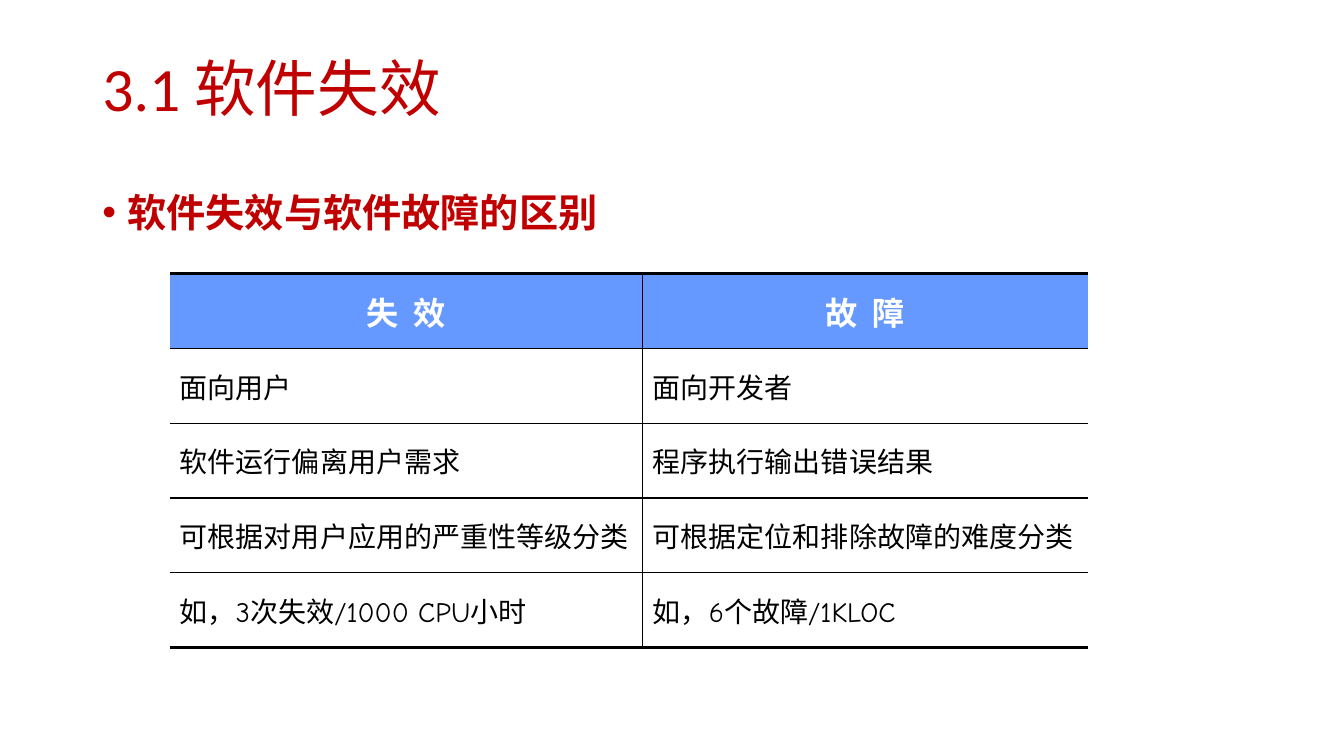
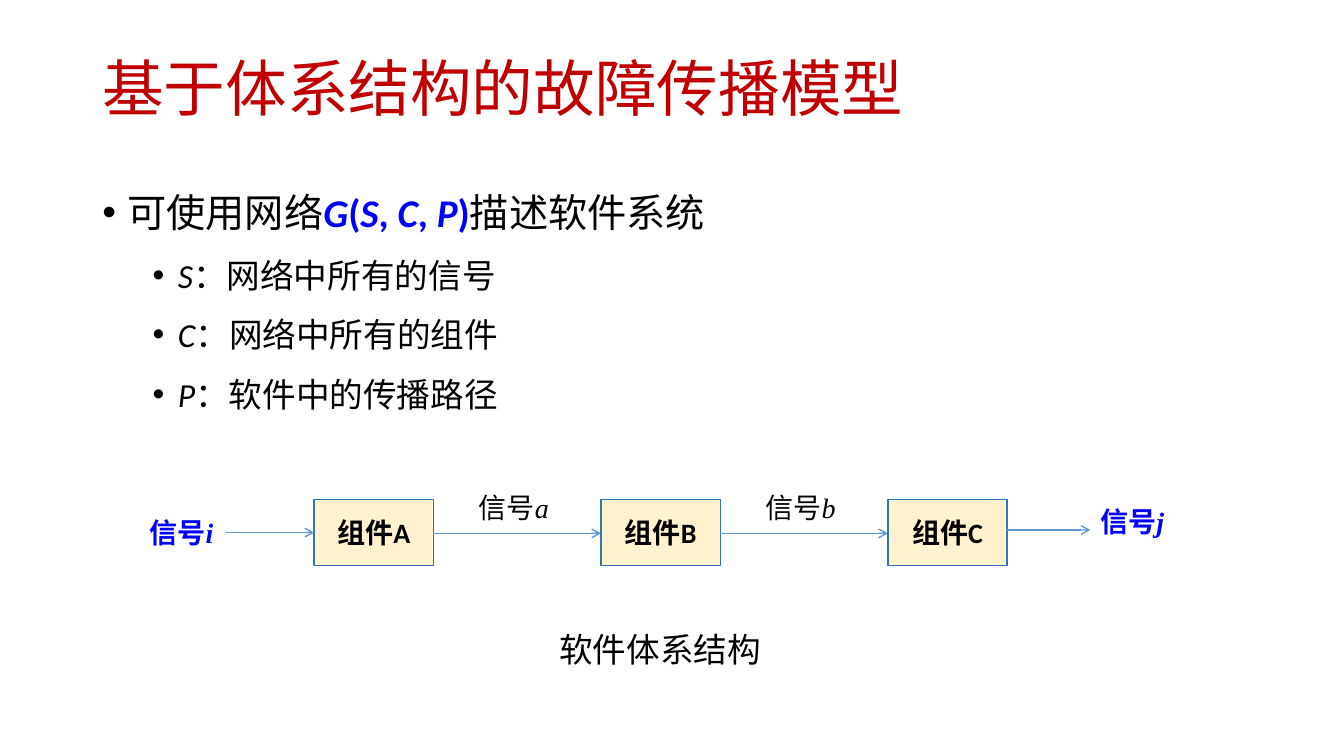
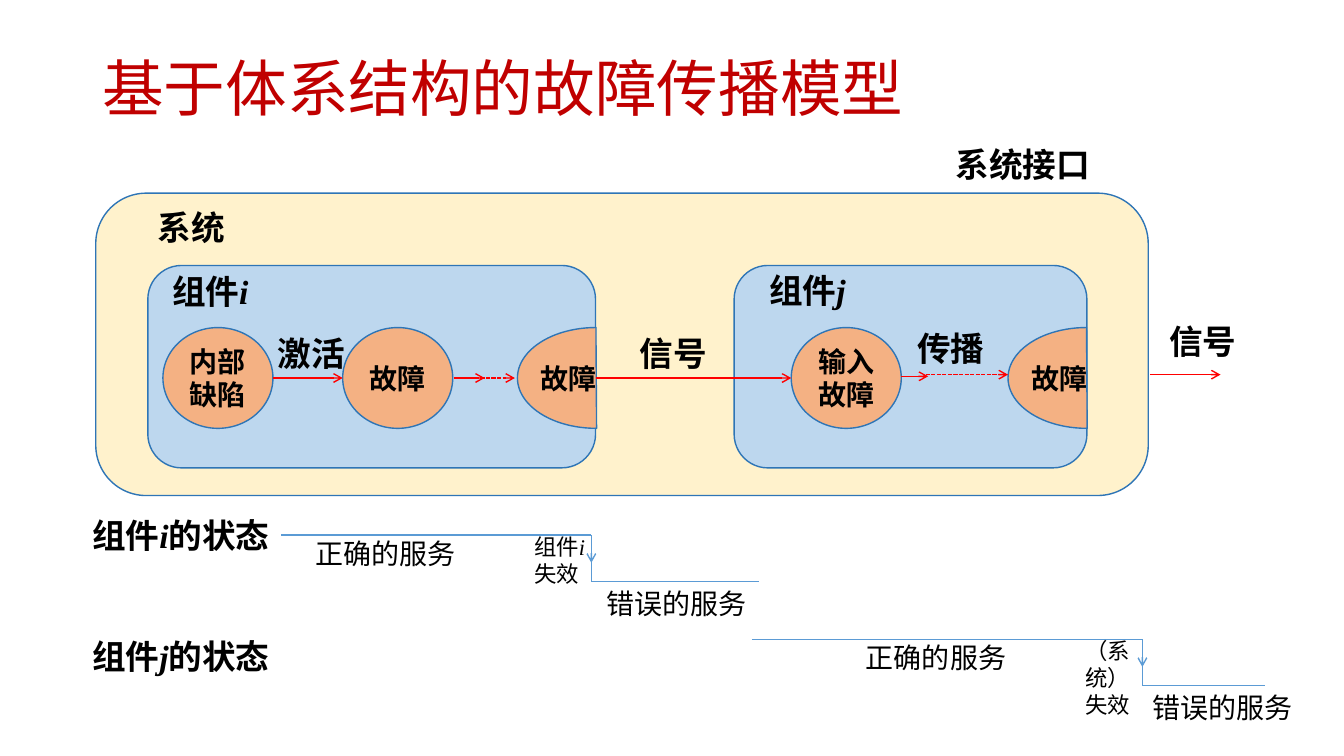
from dataclasses import dataclass, replace

from lxml import etree
from pptx import Presentation
from pptx import util as u
from pptx.dml.color import RGBColor
from pptx.enum import dml, shapes, text
from pptx.oxml.ns import qn

# The slide is a grid of 160 columns by 90 rows; every length is in grid cells.
COLS, ROWS = 160, 90
W, H = u.Inches(13.33), u.Inches(7.5)

COLORS = {
    "title": "C00000", "ink": "000000", "white": "FFFFFF", "accent": "0000FF",
    "header": "6699FF", "cream": "FFF2CC", "sky": "BDD7EE", "peach": "F4B183",
    "outline": "2E75B6", "flow": "5B9BD5", "fault": "FF0000",
}
SANS, SERIF, COMIC = "Calibri", "Times New Roman", "Comic Neue"
CENTER = text.PP_ALIGN.CENTER
MIDDLE = text.MSO_ANCHOR.MIDDLE
PRESET = shapes.MSO_SHAPE


@dataclass(frozen=True)
class Style:
    size: float
    font: str = SERIF
    color: str = "ink"
    bold: bool = False
    align: text.PP_ALIGN | None = None


@dataclass(frozen=True)
class Label:
    words: str
    x: float
    y: float
    w: float
    style: Style
    h: float = 6


@dataclass(frozen=True)
class Block:
    preset: shapes.MSO_SHAPE
    x: float
    y: float
    w: float
    h: float
    fill: str
    words: str = ""


@dataclass(frozen=True)
class Link:
    x1: float
    y1: float
    x2: float
    y2: float
    color: str = "flow"
    arrow: bool = True
    dashed: bool = False


@dataclass(frozen=True)
class Bullet:
    words: str
    size: float = 28
    color: str = "ink"
    bold: bool = False
    indent: float = 0.25
    before: float = 0


@dataclass(frozen=True)
class StateStep:
    """A service level that drops from correct to wrong."""
    start: float
    drop: float
    end: float
    y: float
    good_x: float
    fail: str
    fail_x: float
    wrong_x: float
    fail_align: text.PP_ALIGN | None = None


TITLE = Style(44, SANS, "title")
NODE = Style(20, SERIF, bold=True, align=CENTER)
HEADING = Style(24, bold=True)
NOTE = Style(20)
SIGNAL = Style(20, SERIF, "accent", True)


def gx(cols: float) -> int:
    return round(W * cols / COLS)


def gy(rows: float) -> int:
    return round(H * rows / ROWS)


def rgb(name: str) -> RGBColor:
    return RGBColor.from_string(COLORS[name])


def set_font(p, style: Style) -> None:
    f = p.font
    f.size, f.name, f.bold = u.Pt(style.size), style.font, style.bold
    f.color.rgb = rgb(style.color)
    if style.align is not None:
        p.alignment = style.align


def add_runs(p, words: str) -> None:
    """Underscores enclose italics, bars enclose blue bold text."""
    for i, part in enumerate(words.split("|")):
        for j, piece in enumerate(part.split("_")):
            if not piece:
                continue
            r = p.add_run()
            r.text = piece
            if j % 2:
                r.font.italic = True
            if i % 2:
                r.font.bold = True
                r.font.color.rgb = rgb("accent")


def fill_text(tf, words: str, style: Style) -> None:
    tf.word_wrap = True
    for i, line in enumerate(words.split("\n")):
        p = tf.add_paragraph() if i else tf.paragraphs[0]
        set_font(p, style)
        add_runs(p, line)


def add_label(s, label: Label):
    sp = s.shapes.add_textbox(gx(label.x), gy(label.y), gx(label.w), gy(label.h))
    fill_text(sp.text_frame, label.words, label.style)
    return sp


def add_block(s, block: Block, style: Style = NODE):
    sp = s.shapes.add_shape(block.preset, gx(block.x), gy(block.y),
                            gx(block.w), gy(block.h))
    sp.shadow.inherit = False
    sp.fill.solid()
    sp.fill.fore_color.rgb = rgb(block.fill)
    sp.line.color.rgb = rgb("outline")
    sp.line.width = u.Pt(1)
    if block.words:
        sp.text_frame.vertical_anchor = MIDDLE
        fill_text(sp.text_frame, block.words, style)
    return sp


def add_link(s, link: Link) -> None:
    c = s.shapes.add_connector(shapes.MSO_CONNECTOR.STRAIGHT, gx(link.x1),
                               gy(link.y1), gx(link.x2), gy(link.y2))
    c.line.color.rgb = rgb(link.color)
    c.line.width = u.Pt(1)
    if link.dashed:
        c.line.dash_style = dml.MSO_LINE.SQUARE_DOT
    props = c._element.spPr
    if link.arrow:
        etree.SubElement(props.find(qn("a:ln")), qn("a:tailEnd"), type="arrow")
    etree.SubElement(props, qn("a:effectLst"))


def add_bullets(s, bullets: list[Bullet], rows: float) -> None:
    tf = s.shapes.add_textbox(gx(11), gy(20.2), gx(138), gy(rows)).text_frame
    tf.word_wrap = True
    for i, b in enumerate(bullets):
        p = tf.add_paragraph() if i else tf.paragraphs[0]
        p.line_spacing = 1.3
        if i:
            p.space_before = u.Pt(b.before)
        props = p._p.get_or_add_pPr()
        props.set("marL", str(u.Inches(b.indent)))
        props.set("indent", str(-u.Inches(0.25)))
        etree.SubElement(props, qn("a:buFont"), typeface="Arial")
        etree.SubElement(props, qn("a:buChar"), char="•")
        set_font(p, Style(b.size, SANS, b.color, b.bold))
        add_runs(p, b.words)


def new_slide(prs, title: str, style: Style = TITLE):
    s = prs.slides.add_slide(prs.slide_layouts[6])
    tf = add_label(s, Label(title, 11, 4.8, 138, style, 12.2)).text_frame
    tf.vertical_anchor = MIDDLE
    tf.paragraphs[0].line_spacing = 0.9
    return s


def set_borders(cell, widths: dict[str, float]) -> None:
    """Widths in points by side; zero hides the side."""
    props = cell._tc.get_or_add_tcPr()
    for side in "LRTB":
        width = widths[side]
        ln = etree.SubElement(props, qn(f"a:ln{side}"), w=str(u.Pt(width)))
        if width:
            paint = etree.SubElement(ln, qn("a:solidFill"))
            etree.SubElement(paint, qn("a:srgbClr"), val=COLORS["ink"])
        else:
            etree.SubElement(ln, qn("a:noFill"))


def add_comparison(s, rows: list[tuple[str, str]]) -> None:
    widths, row_h = (56.3, 53), 8.9
    last_row, last_col = len(rows) - 1, len(widths) - 1
    table = s.shapes.add_table(len(rows), len(widths), gx(20.2), gy(32.6),
                               gx(sum(widths)), gy(row_h * len(rows))).table
    table.first_row = table.horz_banding = False
    for col, width in zip(table.columns, widths):
        col.width = gx(width)
    for i, row in enumerate(rows):
        table.rows[i].height = gy(row_h)
        for j, words in enumerate(row):
            cell = table.cell(i, j)
            cell.vertical_anchor = MIDDLE
            set_borders(cell, {"L": int(j > 0), "R": int(j < last_col),
                               "T": 1 if i else 2.25,
                               "B": 1 if i < last_row else 2.25})
            if i:
                cell.fill.background()
                style = Style(20, COMIC)
            else:
                cell.fill.solid()
                cell.fill.fore_color.rgb = rgb("header")
                style = Style(23, COMIC, "white", True, CENTER)
            fill_text(cell.text_frame, words, style)


def failure_slide(prs) -> None:
    s = new_slide(prs, "3.1 软件失效")
    add_bullets(s, [Bullet("软件失效与软件故障的区别", color="title", bold=True)], 60.8)
    add_comparison(s, [
        ("失  效", "故  障"),
        ("面向用户", "面向开发者"),
        ("软件运行偏离用户需求", "程序执行输出错误结果"),
        ("可根据对用户应用的严重性等级分类", "可根据定位和排除故障的难度分类"),
        ("如，3次失效/1000 CPU小时", "如，6个故障/1KLOC"),
    ])


def network_slide(prs) -> None:
    s = new_slide(prs, "基于体系结构的故障传播模型")
    parts = [("S", "信号"), ("C", "组件")]
    meanings = [(k, f"网络中所有的{v}") for k, v in parts] + [("P", "软件中的传播路径")]
    add_bullets(s, [Bullet("可使用网络|_G_(_S_, _C_, _P_)|描述软件系统")] + [
        Bullet(f"_{k}_：{v}", 24, indent=0.75, before=5) for k, v in meanings
    ], 32.4)

    # Chain of components at an equal pitch
    left, pitch, width, mid = 37.4, 34.15, 14.2, 63.5
    for i, name in enumerate("ABC"):
        x = left + i * pitch
        add_block(s, Block(PRESET.RECTANGLE, x, 59.5, width, 7.8, "cream",
                           f"组件{name}"), replace(NODE, font=SANS))
        if i < 2:
            add_link(s, Link(x + width, mid, x + pitch, mid))
            add_label(s, Label(f"信号_{'ab'[i]}_", x + 18.4, 57.8, 11.6, NOTE, 5.3))

    # Signals entering and leaving the chain
    add_link(s, Link(26.9, 63.4, left, 63.4))
    add_link(s, Link(119.9, 63.1, 129.8, 63.1))
    add_label(s, Label("信号_i_", 16.6, 60.8, 11.6, SIGNAL, 5.3))
    add_label(s, Label("信号_j_", 129.8, 59.5, 11.6, SIGNAL, 5.3))
    add_label(s, Label("软件体系结构", 65.4, 74.3, 31.9, Style(24, SANS)))


def add_state(s, st: StateStep) -> None:
    low = st.y + 5.5
    for link in (
        Link(st.start, st.y, st.drop, st.y, arrow=False),
        Link(st.drop, st.y, st.drop, low, arrow=False),
        Link(st.drop, low, st.end, low, arrow=False),
        Link(st.drop, st.y + 0.2, st.drop, st.y + 3.3),
    ):
        add_link(s, link)
    add_label(s, Label("正确的服务", st.good_x, st.y - 0.4, 19.4, NOTE, 5.3))
    add_label(s, Label(st.fail, st.fail_x, st.y - 0.8, 10.6,
                       Style(16, align=st.fail_align), 7.7))
    add_label(s, Label("错误的服务", st.wrong_x, low, 19.4, NOTE, 5.3))


def propagation_slide(prs) -> None:
    s = new_slide(prs, "基于体系结构的故障传播模型", replace(TITLE, font=SERIF))

    # System with its two components
    for block in (
        Block(PRESET.ROUNDED_RECTANGLE, 11.4, 23, 125.3, 36, "cream"),
        Block(PRESET.ROUNDED_RECTANGLE, 17.6, 31.6, 53.3, 24.1, "sky"),
        Block(PRESET.ROUNDED_RECTANGLE, 87.4, 31.6, 42, 24.1, "sky"),
    ):
        add_block(s, block)

    # Faults inside, and half faults on the component borders
    for x, words in ((19.4, "内部缺陷"), (40.8, "故障"), (94.2, "输入故障")):
        add_block(s, Block(PRESET.OVAL, x, 39, 13.1, 12, "peach", words))
    for x in (61.6, 120):
        sp = add_block(s, Block(PRESET.CHORD, x, 39, 18.7, 12, "peach", "故障"),
                       replace(NODE, align=text.PP_ALIGN.LEFT))
        sp.adjustments[0], sp.adjustments[1] = 53.58, 162
        sp.text_frame.margin_left = 0

    # Propagation arrows
    for x1, x2, y, dashed in (
        (32.5, 40.8, 45, False), (54, 57.7, 45, False), (55.2, 61.3, 45, True),
        (70.9, 94.2, 45, False), (107.3, 110.5, 44.8, False),
        (110.2, 120, 44.6, True), (136.9, 145.3, 44.6, False),
    ):
        add_link(s, Link(x1, y, x2, y, "fault", dashed=dashed))

    for words, x, y, w in (
        ("系统", 17.6, 24, 16.1), ("系统接口", 112.6, 16.6, 19.2),
        ("组件_i_", 19.3, 31.7, 16.1), ("组件_j_", 90.4, 31.6, 16.1),
        ("激活", 31.9, 39, 16.1), ("信号", 75, 39, 19.2),
        ("传播", 108, 38.5, 16.1), ("信号", 138, 37.6, 10.9),
        ("组件_i_的状态", 9.8, 60.7, 27.4), ("组件_j_的状态", 9.8, 75.1, 27.4),
    ):
        add_label(s, Label(words, x, y, w, HEADING))

    # State of each component over time
    add_state(s, StateStep(33.5, 70.4, 90.4, 63.7, 36.4, "组件_i_\n失效", 62.4, 71))
    add_state(s, StateStep(89.5, 136, 150.6, 76.1, 101.9, "（系统）\n失效",
                           126.6, 136, CENTER))


def main() -> None:
    prs = Presentation()
    prs.slide_width, prs.slide_height = W, H
    failure_slide(prs)
    network_slide(prs)
    propagation_slide(prs)
    prs.save("out.pptx")


if __name__ == "__main__":
    main()
